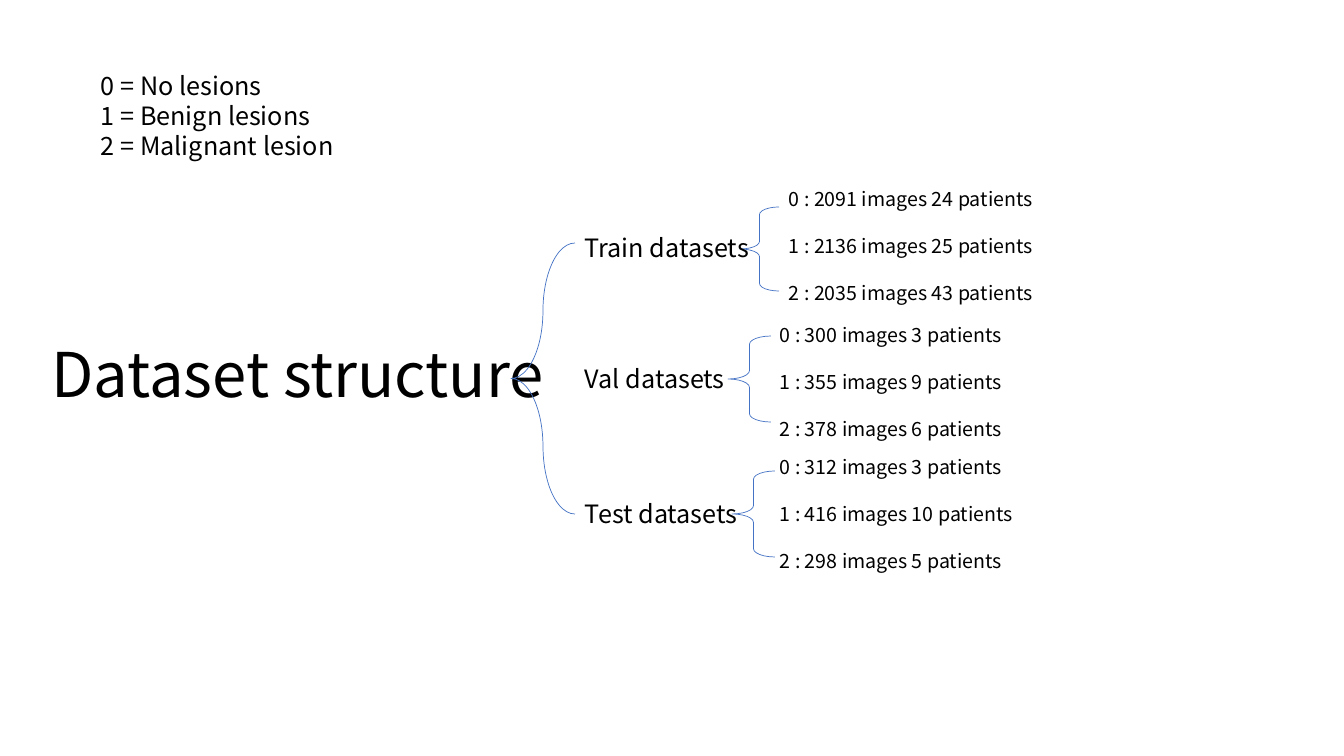
import pptx
import pptx.util
import pptx.dml.color
import pptx.enum.shapes
import pptx.enum.text

PX = 914400 / 100.8
FONT = "Noto Sans CJK SC"
COLORS = {"text": "000000", "brace": "4472C4"}


def write(shape, lines, size, gap=0):
    """Fill a text shape with one left-aligned paragraph per line."""
    frame = shape.text_frame
    frame.word_wrap = True
    frame.text = "\n".join(lines)
    for para in frame.paragraphs:
        para.alignment = pptx.enum.text.PP_ALIGN.LEFT
        para.space_before = pptx.util.Pt(0)
        para.space_after = pptx.util.Pt(gap)
        para.font.size = pptx.util.Pt(size)
        para.font.name = FONT
        para.font.color.rgb = pptx.dml.color.RGBColor.from_string(COLORS["text"])


def brace(box, curve):
    """Draw a thin left brace."""
    shape = slide.shapes.add_shape(
        pptx.enum.shapes.MSO_SHAPE.LEFT_BRACE, *[round(n * PX) for n in box])
    shape.adjustments[0] = curve
    shape.shadow.inherit = False
    shape.fill.background()
    shape.line.color.rgb = pptx.dml.color.RGBColor.from_string(COLORS["brace"])
    shape.line.width = pptx.util.Pt(0.5)


deck = pptx.Presentation()
deck.slide_width = round(1344 * PX)
deck.slide_height = round(756 * PX)
slide = deck.slides.add_slide(deck.slide_layouts[5])

# Title, the root of the tree
title = slide.shapes.title
title.left, title.top, title.width, title.height = [
    round(n * PX) for n in (41, 305, 1159, 146)]
write(title, ["Dataset structure"], 44)
title.text_frame.vertical_anchor = pptx.enum.text.MSO_ANCHOR.MIDDLE
title.text_frame.paragraphs[0].line_spacing = 0.9

# Main brace
brace((511, 243, 64, 271), 1.065)

# Text boxes: box, lines, size, gap after each line
texts = [((91, 65, 701, 102),
          ["0 = No lesions", "1 = Benign lesions", "2 = Malignant lesion"], 18, 0)]

# Branches: name, label top, brace box, list corner, (images, patients) by class
splits = [
    ("Train", 227, (740, 207, 39, 84), (779, 182), [(2091, 24), (2136, 25), (2035, 43)]),
    ("Val", 358, (728, 336, 43, 86), (770, 318), [(300, 3), (355, 9), (378, 6)]),
    ("Test", 493, (732, 471, 43, 86), (770, 450), [(312, 3), (416, 10), (298, 5)]),
]
for name, top, curl, corner, counts in splits:
    brace(curl, 0.194)
    rows = [f"{grade} : {images} images {patients} patients"
            for grade, (images, patients) in enumerate(counts)]
    texts.append(((575, top, 296, 40), [f"{name} datasets"], 18, 0))
    texts.append(((*corner, 287, 129), rows, 14, 16.8))

for box, lines, size, gap in texts:
    write(slide.shapes.add_textbox(*[round(n * PX) for n in box]), lines, size, gap)

deck.save("out.pptx")
